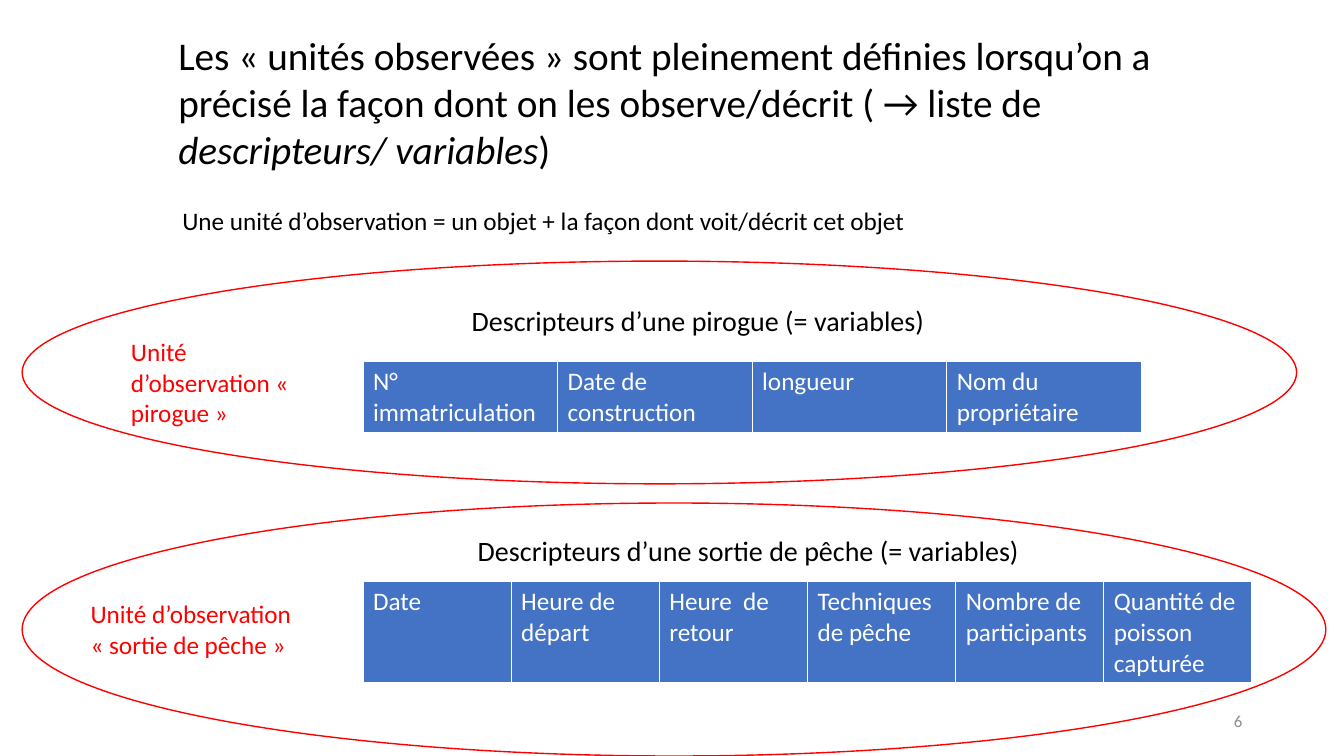
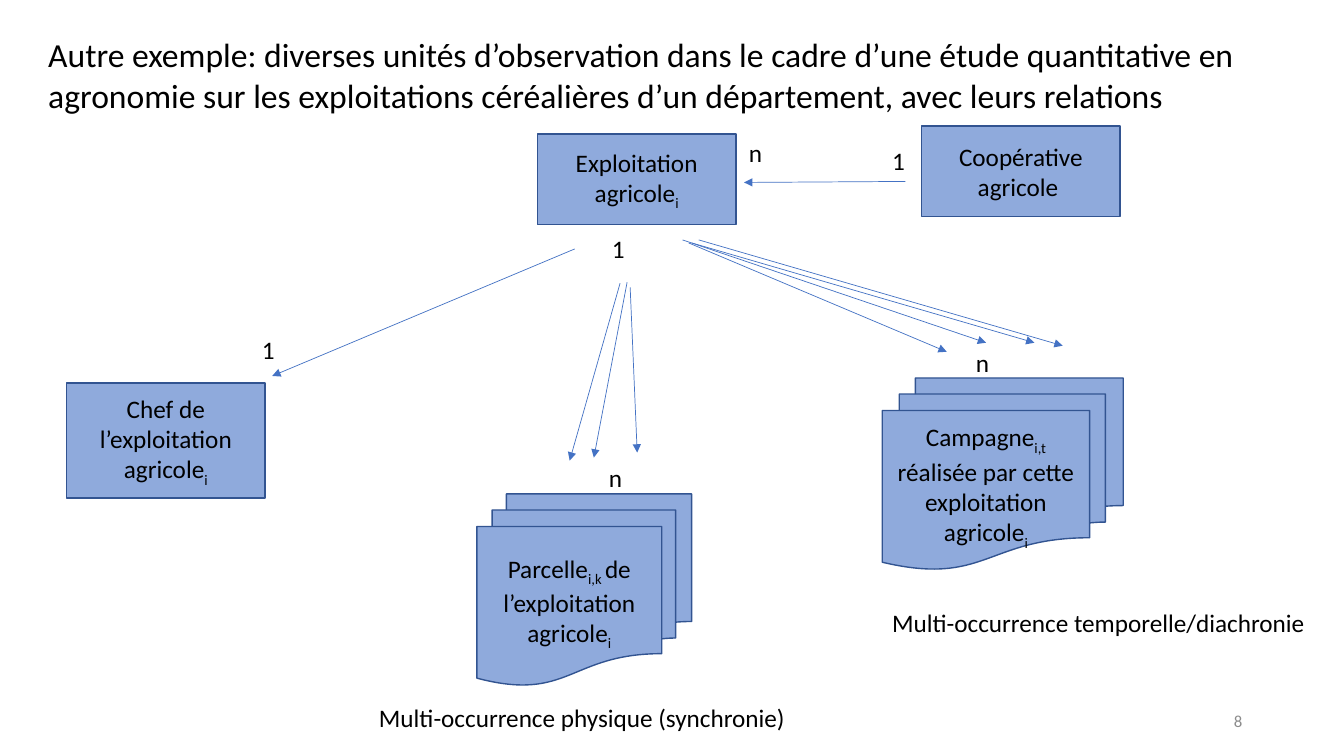
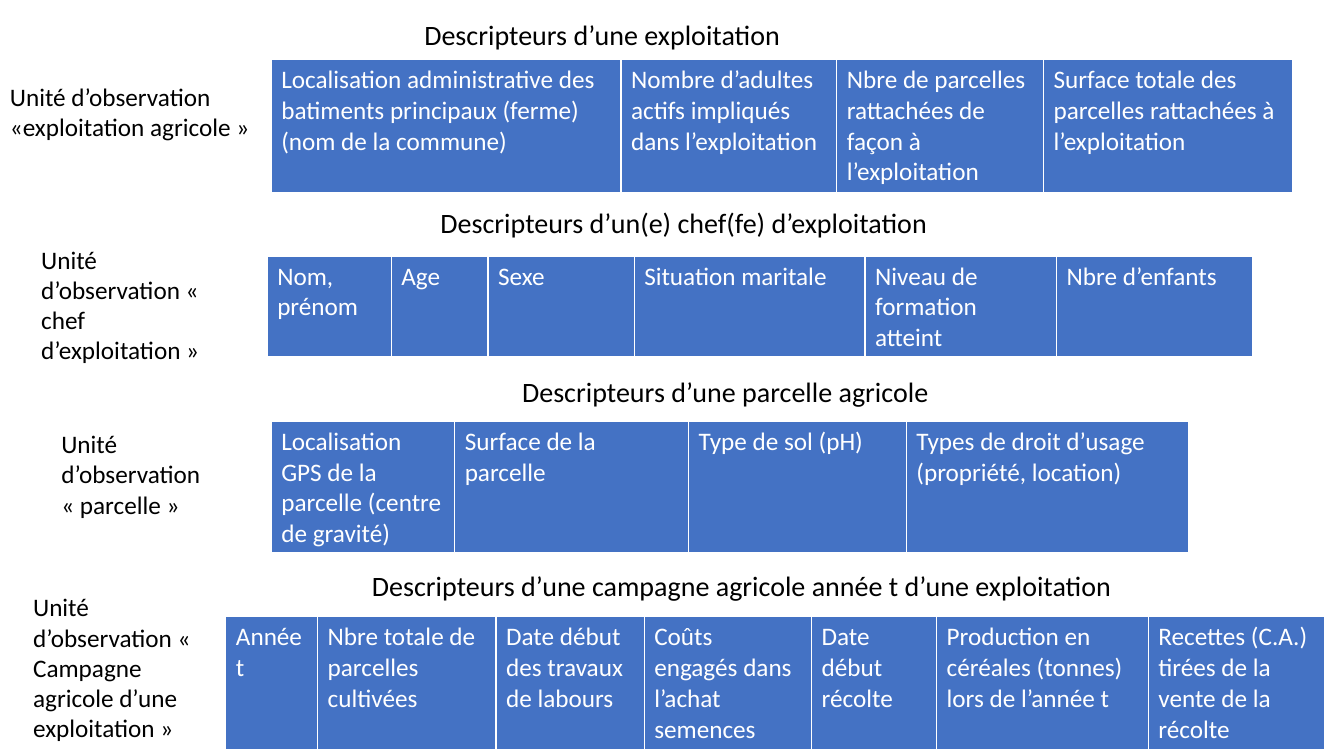
from lxml import etree
from pptx import Presentation
from pptx.dml.color import RGBColor
from pptx.enum import shapes, text
from pptx.oxml.ns import qn
from pptx.util import Inches, Pt

BLACK, WHITE, RED, GREY = "000000", "FFFFFF", "FF0000", "8C8C8C"
BLUE, PALE, EDGE = "4472C4", "8FAADC", "325491"
FONT = "Calibri"
KIND = shapes.MSO_SHAPE


def color(code):
    return RGBColor.from_string(code)


def write(frame, words, size=18, ink=BLACK, align="LEFT", anchor="TOP",
          wrap=True, mark="sub"):
    """Fill a frame: newlines part paragraphs, bars enclose subscript or italic."""
    frame.word_wrap = wrap
    frame.vertical_anchor = getattr(text.MSO_ANCHOR, anchor)
    for row, line in enumerate(words.split("\n")):
        para = frame.add_paragraph() if row else frame.paragraphs[0]
        para.alignment = getattr(text.PP_ALIGN, align)
        for turn, part in enumerate(line.split("|")):
            if not part:
                continue
            run = para.add_run()
            run.text = part
            font = run.font
            font.name, font.size, font.bold = FONT, Pt(size), False
            font.color.rgb = color(ink)
            if turn % 2 and mark == "sub":
                run._r.get_or_add_rPr().set("baseline", "-25000")
            elif turn % 2:
                font.italic = True


class Deck:
    def __init__(self):
        self.file = Presentation()
        self.file.slide_width = Inches(13.33)
        self.file.slide_height = Inches(7.5)

    def slide(self, number=None):
        page = self.file.slides.add_slide(self.file.slide_layouts[6])
        self.items = page.shapes
        if number:
            self.text((9.42, 6.95, 3, 0.4), number, size=12, ink=GREY,
                      align="RIGHT", anchor="MIDDLE")

    def text(self, box, words, **style):
        item = self.items.add_textbox(*map(Inches, box))
        write(item.text_frame, words, **style)

    def shape(self, kind, box, words="", fill=None, edge=EDGE):
        item = self.items.add_shape(kind, *map(Inches, box))
        item.shadow.inherit = False
        if fill:
            item.fill.solid()
            item.fill.fore_color.rgb = color(fill)
        else:
            item.fill.background()
        item.line.color.rgb = color(edge)
        item.line.width = Pt(1)
        if words:
            write(item.text_frame, words, align="CENTER", anchor="MIDDLE")

    def arrow(self, *ends):
        item = self.items.add_connector(
            shapes.MSO_CONNECTOR.STRAIGHT, *map(Inches, ends))
        item.line.color.rgb = color(BLUE)
        item.line.width = Pt(0.5)
        props = item._element.spPr
        etree.SubElement(props.find(qn("a:ln")), qn("a:tailEnd"), type="triangle")
        etree.SubElement(props, qn("a:effectLst"))

    def table(self, left, top, high, cells):
        """Draw one row from pairs of column width and text."""
        wide = sum(size for size, _ in cells)
        grid = self.items.add_table(
            1, len(cells), *map(Inches, (left, top, wide, high))).table
        grid.horz_banding = False
        for col, (size, words) in enumerate(cells):
            grid.columns[col].width = Inches(size)
            cell = grid.cell(0, col)
            cell.fill.solid()
            cell.fill.fore_color.rgb = color(BLUE)
            write(cell.text_frame, words, ink=WHITE)

    def unit(self, label, head, grid, ink=BLACK):
        """Draw a unit: side label, heading and table of its variables."""
        self.table(*grid)
        self.text(*label, ink=ink)
        self.text(*head, size=20, wrap=False)


def units(deck):
    deck.slide("6")
    deck.text((1.67, 0.26, 10.09, 1.51),
              "Les « unités observées » sont pleinement définies lorsqu’on a "
              "précisé la façon dont on les observe/décrit ( → liste de "
              "|descripteurs/ variables|)", size=28, mark="italic")
    deck.text((1.71, 1.99, 7.45, 0.4),
              "Une unité d’observation = un objet + la façon dont voit/décrit "
              "cet objet", wrap=False)
    boats = ("N° immatriculation", "Date de construction", "longueur",
             "Nom du propriétaire")
    trips = ("Date", "Heure de départ", "Heure  de retour",
             "Techniques de pêche", "Nombre de participants",
             "Quantité de poisson capturée")
    deck.unit(((1.2, 3.29, 1.97, 1.01), "Unité d’observation « pirogue »"),
              ((4.58, 2.96, 4.74, 0.44), "Descripteurs d’une pirogue (= variables)"),
              (3.6, 3.59, 0.7, [(1.93, name) for name in boats]), RED)
    deck.unit(((0.8, 5.89, 2.37, 0.71), "Unité d’observation « sortie de pêche »"),
              ((4.64, 5.24, 5.63, 0.44),
               "Descripteurs d’une sortie de pêche (= variables)"),
              (3.6, 5.77, 1, [(1.47, name) for name in trips]), RED)
    for box in ((0.22, 2.59, 12.64, 2.21), (0.22, 4.99, 12.93, 2.51)):
        deck.shape(KIND.OVAL, box, edge=RED)


def links(deck):
    deck.slide("8")
    deck.text((0.38, 0.29, 12.12, 0.91),
              "Autre exemple: diverses unités d’observation dans le cadre d’une "
              "étude quantitative en agronomie sur les exploitations céréalières "
              "d’un département, avec leurs relations", size=24)
    plain, stack = KIND.FLOWCHART_PROCESS, KIND.FLOWCHART_MULTIDOCUMENT
    for kind, box, words in (
            (plain, (0.66, 3.8, 1.97, 1.14), "Chef de l’exploitation agricole|i|"),
            (plain, (5.33, 1.33, 1.97, 0.9), "Exploitation agricole|i|"),
            (plain, (9.14, 1.25, 1.97, 0.9), "Coopérative agricole "),
            (stack, (4.73, 4.9, 2.13, 1.9),
             "Parcelle|i,k |de l’exploitation\nagricole|i|"),
            (stack, (8.75, 3.75, 2.39, 1.9),
             "Campagne|i,t |réalisée par cette exploitation\nagricole|i|")):
        deck.shape(kind, box, words, PALE)
    for ends in ((5.7, 2.47, 2.7, 3.73), (8.98, 1.8, 7.38, 1.81),
                 (6.25, 2.85, 6.32, 4.49), (6.22, 2.8, 5.89, 4.54),
                 (6.15, 2.81, 5.65, 4.57), (6.83, 2.41, 9.39, 3.49),
                 (6.86, 2.41, 10.26, 3.4), (6.77, 2.38, 9.78, 3.4),
                 (6.93, 2.38, 10.54, 3.43)):
        deck.arrow(*ends)
    for left, top, count in ((5.97, 2.27, "1"), (2.5, 3.27, "1"),
                             (8.75, 1.39, "1"), (9.58, 3.4, "n"),
                             (5.94, 4.54, "n"), (7.33, 1.31, "n")):
        deck.text((left, top, 0.34, 0.4), count)
    deck.text((8.75, 5.98, 4.34, 0.4), "Multi-occurrence temporelle/diachronie",
              wrap=False)
    deck.text((3.66, 6.92, 4.41, 0.4), "Multi-occurrence physique (synchronie)",
              wrap=False)


def traits(deck):
    deck.slide()
    deck.unit(
        ((0, 0.76, 2.69, 0.71), "Unité d’observation «exploitation agricole »"),
        ((4.11, 0.12, 3.91, 0.44), "Descripteurs d’une exploitation"),
        (2.69, 0.59, 1.3, (
            (3.47, "Localisation administrative des batiments principaux (ferme)\n"
                   "(nom de la commune)"),
            (2.14, "Nombre d’adultes actifs impliqués dans l’exploitation"),
            (2.05, "Nbre de parcelles rattachées de façon à l’exploitation"),
            (2.47, "Surface totale des parcelles rattachées à l’exploitation"))))
    deck.unit(
        ((0.31, 2.37, 2.01, 1.31), "Unité d’observation « chef d’exploitation »"),
        ((4.27, 1.99, 5.08, 0.44), "Descripteurs d’un(e) chef(fe) d’exploitation"),
        (2.65, 2.54, 1, (
            (1.23, "Nom, prénom"), (0.96, "Age"), (1.45, "Sexe"),
            (2.29, "Situation maritale"), (1.9, "Niveau de formation atteint"),
            (1.94, "Nbre d’enfants"))))
    deck.unit(
        ((0.51, 4.2, 1.61, 1.01), "Unité d’observation « parcelle »"),
        ((5.08, 3.67, 4.34, 0.44), "Descripteurs d’une parcelle agricole"),
        (2.69, 4.18, 1.3, (
            (1.82, "Localisation GPS de la parcelle (centre de gravité)"),
            (2.32, "Surface de la parcelle"), (2.16, "Type de sol (pH)"),
            (2.8, "Types de droit d’usage (propriété, location)"))))
    deck.unit(
        ((0.23, 5.82, 2.09, 1.62),
         "Unité d’observation « Campagne agricole d’une exploitation »"),
        ((3.59, 5.59, 7.61, 0.44),
         "Descripteurs d’une campagne agricole année t d’une exploitation"),
        (2.24, 6.12, 1.32, (
            (0.91, "Année\nt"), (1.77, "Nbre totale de parcelles cultivées"),
            (1.47, "Date début des travaux de labours"),
            (1.66, "Coûts engagés dans l’achat semences"),
            (1.24, "Date début récolte"),
            (2.1, "Production en céréales (tonnes) lors de l’année t"),
            (1.75, "Recettes (C.A.) tirées de la vente de la récolte"))))


def main():
    deck = Deck()
    units(deck)
    links(deck)
    traits(deck)
    deck.file.save("out.pptx")


if __name__ == "__main__":
    main()
